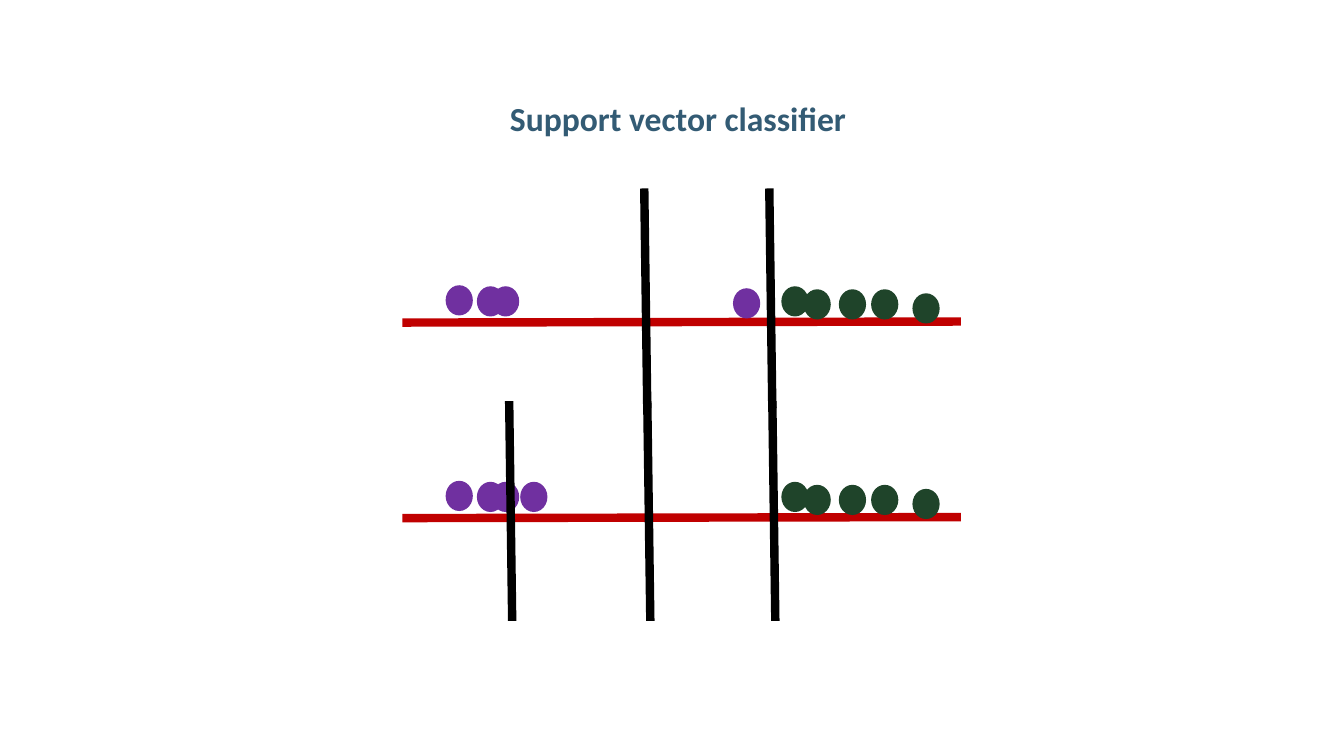
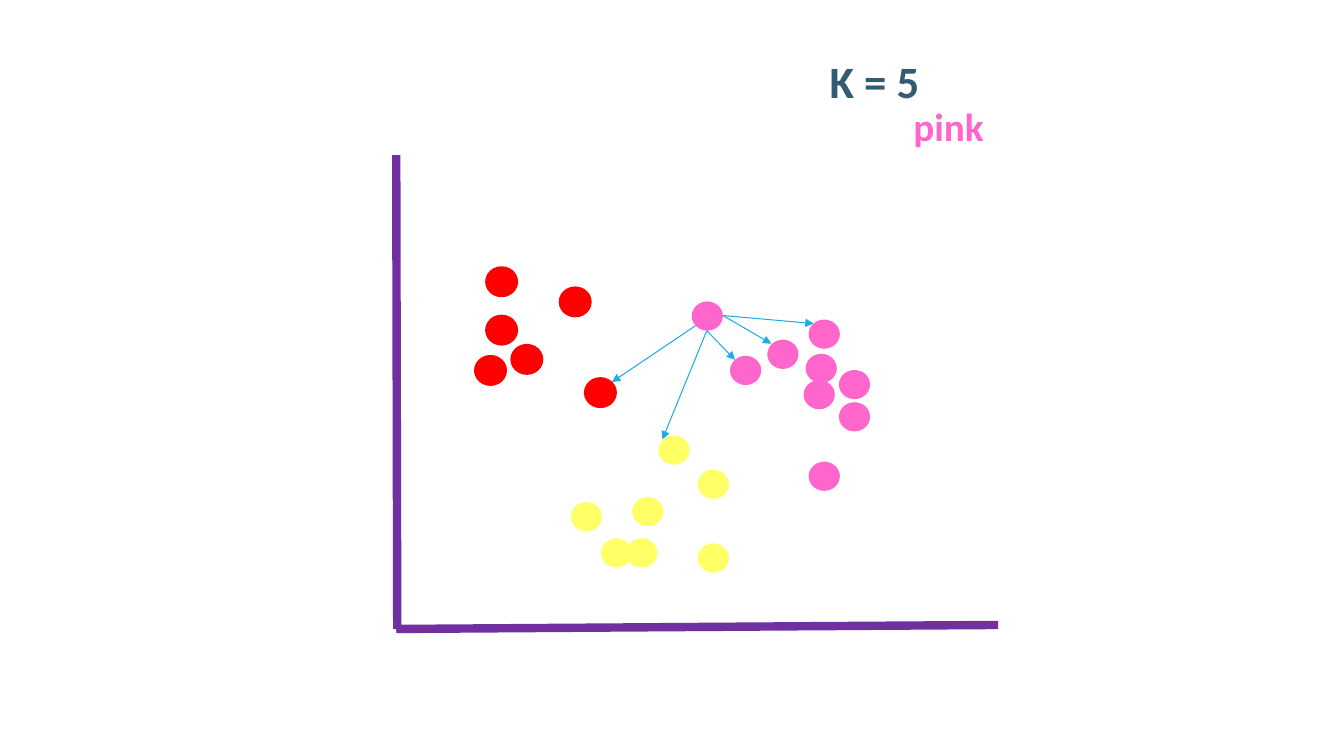
from dataclasses import dataclass

from lxml.etree import SubElement
from pptx import Presentation
from pptx.dml.color import RGBColor
from pptx.enum.shapes import MSO_CONNECTOR, MSO_SHAPE
from pptx.oxml.ns import qn
from pptx.util import Inches, Pt


@dataclass(frozen=True)
class Theme:
    font: str = "Calibri"
    heading: str = "335B74"
    purple: str = "7030A0"
    green: str = "1F442A"
    crimson: str = "C00000"
    black: str = "000000"
    red: str = "FF0000"
    pink: str = "FF66CC"
    yellow: str = "FFFF66"
    arrow: str = "1CADE4"
    title_size: int = 24
    k_size: int = 32
    answer_size: int = 28
    thick: float = 6
    outline: float = 1.25
    thin: float = 0.75


THEME = Theme()


def rgb(value):
    return RGBColor.from_string(value)


def add_label(slide, box, text, size, color):
    tb = slide.shapes.add_textbox(*map(Inches, box))
    tf = tb.text_frame
    tf.word_wrap = True
    p = tf.paragraphs[0]
    p.text = text
    font = p.font
    font.name, font.size, font.bold = THEME.font, Pt(size), True
    font.color.rgb = rgb(color)


def add_line(slide, origin, start, end, color, width, arrow=False):
    left, top = origin
    points = (left + start[0], top + start[1], left + end[0], top + end[1])
    line = slide.shapes.add_connector(MSO_CONNECTOR.STRAIGHT, *map(Inches, points))
    line.line.color.rgb = rgb(color)
    line.line.width = Pt(width)
    if arrow:
        SubElement(line.line._get_or_add_ln(), qn("a:tailEnd"), type="triangle")
    SubElement(line._element.spPr, qn("a:effectLst"))


def add_dots(slide, origin, offsets, size, color, outline=None):
    left, top = origin
    for x, y in offsets:
        box = (left + x, top + y, *size)
        dot = slide.shapes.add_shape(MSO_SHAPE.OVAL, *map(Inches, box))
        dot.shadow.inherit = False
        dot.fill.solid()
        dot.fill.fore_color.rgb = rgb(color)
        if outline:
            dot.line.color.rgb = rgb(color)
            dot.line.width = Pt(outline)
        else:
            dot.line.fill.background()


def add_number_line(slide, origin, stray, walls, wall_top):
    size = (0.27, 0.3)
    purple = [(0.43, 0), (0.74, 0.01), (0.89, 0.01), stray]
    green = [(5.06, 0.08), (4.33, 0.04), (4.65, 0.04), (3.76, 0.01), (3.98, 0.04)]
    add_line(slide, origin, (0, 0.37), (5.54, 0.36), THEME.crimson, THEME.thick)
    add_dots(slide, origin, purple, size, THEME.purple)
    add_dots(slide, origin, green, size, THEME.green)
    for x in walls:
        add_line(slide, origin, (x, wall_top), (x + 0.03, wall_top + 2.18),
                 THEME.black, THEME.thick)


def add_axes(slide, origin, width, height):
    corner = (0.01, height)
    add_line(slide, origin, (0, 0), corner, THEME.purple, THEME.thick)
    add_line(slide, origin, (width, height - 0.04), (0, height),
             THEME.purple, THEME.thick)


def add_scatter(slide, origin):
    size = (0.31, 0.29)
    red = [(0.78, 1.99), (0.89, 1.59), (1.14, 1.88),
           (1.62, 1.31), (1.87, 2.21), (0.89, 1.11)]
    pink = [(3.68, 1.83), (4.09, 1.63), (4.06, 1.97), (4.39, 2.13),
            (4.09, 3.04), (3.31, 1.99), (4.39, 2.45), (4.04, 2.23)]
    yellow = [(2.99, 3.85), (2.6, 2.78), (2.34, 3.39), (2.28, 3.8),
              (2.99, 3.12), (1.73, 3.44), (2.03, 3.8)]
    add_dots(slide, origin, red, size, THEME.red, THEME.outline)
    add_dots(slide, origin, pink, size, THEME.pink)
    add_dots(slide, origin, yellow, size, THEME.yellow)

    bottom, right, lower_left = (3.08, 1.74), (3.24, 1.59), (2.97, 1.69)
    neighbours = [
        (bottom, (3.36, 2.03)),
        (right, (3.72, 1.87)),
        (lower_left, (2.14, 2.25)),
        (bottom, (2.64, 2.82)),
        (right, (4.14, 1.67)),
    ]
    for start, end in neighbours:
        add_line(slide, origin, start, end, THEME.arrow, THEME.thin, arrow=True)
    add_dots(slide, origin, [(2.93, 1.45)], size, THEME.pink)


def build_classifier(slide):
    left = 3.99
    add_number_line(slide, (left, 4.77), (1.17, 0.01), (1.06, 3.67, 2.43), -0.79)
    add_number_line(slide, (left, 2.83), (3.28, 0.03), (3.64, 2.4), -0.96)
    add_label(slide, (4.96, 0.92, 4.97, 0.5), "Support vector classifier",
              THEME.title_size, THEME.heading)


def build_neighbours(slide):
    origin = (3.93, 1.54)
    add_axes(slide, origin, 5.97, 4.7)
    add_scatter(slide, origin)
    add_label(slide, (8.13, 0.48, 4.81, 0.64), "K = 5", THEME.k_size, THEME.heading)
    add_label(slide, (8.96, 0.97, 3.15, 0.57), "pink", THEME.answer_size, THEME.pink)


def main():
    prs = Presentation()
    prs.slide_width, prs.slide_height = Inches(13.33), Inches(7.5)
    for build in (build_classifier, build_neighbours):
        build(prs.slides.add_slide(prs.slide_layouts[6]))
    prs.save("out.pptx")


if __name__ == "__main__":
    main()
